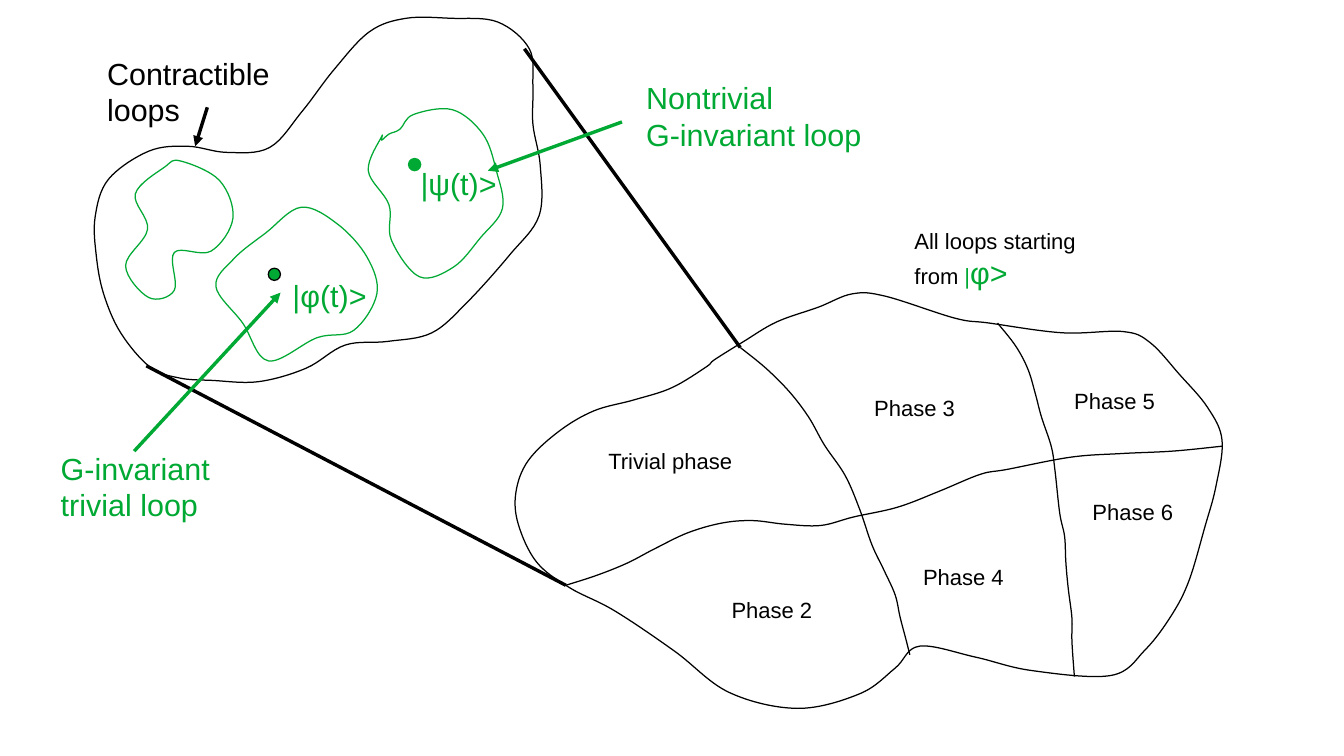
"""Draw the slide on contractible loops and the phases they belong to."""
from lxml import etree
from pptx import Presentation
from pptx import util as u
from pptx.dml.color import RGBColor
from pptx.enum import shapes, text
from pptx.oxml.ns import qn

BLACK, GREEN = "000000", "00A933"


def color(hex_code):
    return RGBColor.from_string(hex_code)


def round_off(curve, knots, closed):
    """Turn the straight segments between the knots into smooth Bezier curves."""
    ends = [knots[-1], *knots, *knots[:2]] if closed else [knots[0], *knots, knots[-1]]
    segments = list(curve._element.iter(qn("a:lnTo")))
    for segment, a, b, c, d in zip(segments, ends, ends[1:], ends[2:], ends[3:]):
        segment.tag = qn("a:cubicBezTo")
        handles = [[q + (r - p) / 6 for p, q, r in zip(a, b, c)],
                   [r - (s - q) / 6 for q, r, s in zip(b, c, d)]]
        for i, (x, y) in enumerate(handles):
            segment.insert(i, etree.Element(
                qn("a:pt"), x=str(u.Inches(x) - curve.left), y=str(u.Inches(y) - curve.top)))


prs = Presentation()
prs.slide_width, prs.slide_height = u.Inches(11.02), u.Inches(6.2)
slide = prs.slides.add_slide(prs.slide_layouts[6])

phase_map = [
    (5.79, 3.01), (5.51, 3.18), (5.2, 3.28), (4.87, 3.37), (4.58, 3.54), (4.33, 3.78),
    (4.23, 4.04), (4.25, 4.3), (4.4, 4.61), (4.67, 4.82), (5.04, 5.01), (5.53, 5.34),
    (5.98, 5.68), (6.54, 5.81), (7.05, 5.69), (7.34, 5.48), (7.54, 5.3), (8, 5.39),
    (8.46, 5.5), (9.11, 5.54), (9.39, 5.33), (9.61, 5.04), (9.75, 4.76), (9.88, 4.32),
    (9.97, 3.99), (10.02, 3.61), (9.9, 3.34), (9.67, 3.07), (9.43, 2.81), (9.21, 2.72),
    (8.71, 2.73), (8.11, 2.65), (7.83, 2.61), (7.26, 2.43), (6.99, 2.41), (6.71, 2.52),
    (6.37, 2.64), (6.1, 2.8), (5.86, 2.95)]
left_border = [
    (6.07, 2.85), (6.28, 3.02), (6.47, 3.21), (6.63, 3.42), (6.76, 3.65), (6.93, 3.9),
    (7.05, 4.18), (7.15, 4.47), (7.25, 4.68), (7.34, 4.88), (7.38, 5.06), (7.43, 5.25),
    (7.46, 5.37)]
middle_border = [
    (4.64, 4.8), (4.89, 4.72), (5.14, 4.62), (5.37, 4.5), (5.64, 4.37), (5.92, 4.29),
    (6.17, 4.27), (6.44, 4.3), (6.73, 4.31), (7, 4.24), (7.36, 4.16), (7.7, 4.03),
    (8.04, 3.89), (8.26, 3.85), (8.78, 3.75), (9.2, 3.72), (9.62, 3.7), (10.02, 3.66)]
right_border = [
    (8.18, 2.65), (8.33, 2.84), (8.43, 3.03), (8.49, 3.23), (8.54, 3.42), (8.62, 3.66),
    (8.65, 3.85), (8.69, 4.21), (8.73, 4.4), (8.74, 4.61), (8.76, 4.83), (8.79, 5.07),
    (8.79, 5.26), (8.81, 5.55)]
loop_space = [
    (1.23, 3.01), (0.99, 2.73), (0.85, 2.41), (0.79, 2.1), (0.78, 1.78), (0.89, 1.47),
    (1.22, 1.24), (1.54, 1.2), (1.86, 1.25), (2.21, 1.21), (2.48, 0.91), (2.74, 0.57),
    (3.03, 0.26), (3.33, 0.15), (3.7, 0.15), (4.08, 0.18), (4.34, 0.4), (4.37, 0.71),
    (4.37, 1.02), (4.43, 1.36), (4.42, 1.77), (4.18, 2.09), (3.83, 2.48), (3.54, 2.73),
    (3.18, 2.8), (2.83, 2.83), (2.51, 3.02), (2.12, 3.13), (1.74, 3.12), (1.47, 3.1)]
trivial_loop = [
    (2.18, 1.91), (1.92, 2.12), (1.77, 2.35), (1.99, 2.65), (2.2, 2.96), (2.6, 2.77),
    (2.9, 2.71), (3.09, 2.41), (3.01, 2.11), (2.77, 1.84), (2.47, 1.7)]
nontrivial_loop = [
    (3.13, 1.12), (3.02, 1.4), (3.19, 1.68), (3.21, 1.97), (3.44, 2.27), (3.72, 2.19),
    (3.94, 1.95), (4.12, 1.71), (4.07, 1.4), (3.96, 1.1), (3.71, 0.9), (3.39, 0.94),
    (3.28, 1.06), (3.19, 1.1), (3.13, 1.15)]
plain_loop = [
    (1.35, 1.37), (1.11, 1.59), (1.21, 1.88), (1.03, 2.18), (1.22, 2.44), (1.43, 2.38),
    (1.43, 2.07), (1.73, 2.06), (1.91, 1.79), (1.8, 1.48), (1.48, 1.32)]

for knots, closed, ink in [
        (phase_map, True, BLACK), (left_border, False, BLACK),
        (middle_border, False, BLACK), (right_border, False, BLACK),
        (loop_space, True, BLACK), (trivial_loop, True, GREEN),
        (nontrivial_loop, True, GREEN), (plain_loop, True, GREEN)]:
    start, *rest = [(u.Inches(x), u.Inches(y)) for x, y in knots]
    pen = slide.shapes.build_freeform(*start, scale=1.0)
    pen.add_line_segments(rest + [start] if closed else rest, close=closed)
    curve = pen.convert_to_shape()
    round_off(curve, knots, closed)
    curve.shadow.inherit = False
    curve.fill.background()
    curve.line.color.rgb = color(ink)
    curve.line.width = u.Pt(0)

for x1, y1, x2, y2, ink, arrow in [
        (4.64, 4.8, 1.2, 3, BLACK, False), (6.07, 2.85, 4.3, 0.4, BLACK, False),
        (1.7, 0.88, 1.6, 1.2, BLACK, True), (5.1, 1, 4, 1.4, GREEN, True),
        (1.1, 3.7, 2.3, 2.4, GREEN, True)]:
    pointer = slide.shapes.add_connector(
        shapes.MSO_CONNECTOR.STRAIGHT, *map(u.Inches, (x1, y1, x2, y2)))
    pointer.line.color.rgb = color(ink)
    pointer.line.width = u.Pt(0)
    if arrow:
        etree.SubElement(pointer.line._get_or_add_ln(), qn("a:tailEnd"), type="triangle")
    etree.SubElement(pointer._element.spPr, qn("a:effectLst"))

for x, y, outline in [(2.2, 2.2, BLACK), (3.35, 1.3, GREEN)]:
    state = slide.shapes.add_shape(
        shapes.MSO_SHAPE.OVAL, *map(u.Inches, (x, y, 0.1, 0.1)))
    state.shadow.inherit = False
    state.fill.solid()
    state.fill.fore_color.rgb = color(GREEN)
    state.line.color.rgb = color(outline)
    state.line.width = u.Pt(0)

phases = [("Phase 2", 5.9, 4.84), ("Phase 3", 7.07, 3.19), ("Phase 4", 7.47, 4.57),
          ("Phase 5", 8.71, 3.13), ("Phase 6", 8.86, 4.04)]
labels = [([[(name, 13, BLACK)]], x, y, 0.87, 0.3) for name, x, y in phases] + [
    ([[("Trivial phase", 13, BLACK)]], 4.89, 3.62, 1.33, 0.4),
    ([[("All loops starting from ", 13, BLACK), ("|", 13, GREEN), ("φ>", 18, GREEN)]],
     7.4, 1.82, 1.6, 0.78),
    ([[("Contractible loops", 18, BLACK)]], 0.78, 0.4, 1.8, 0.94),
    ([[("|φ(t)>", 18, GREEN)]], 2.3, 2.22, 0.9, 0.66),
    ([[("|ψ(t)>", 18, GREEN)]], 3.35, 1.3, 1.1, 0.48),
    ([[("Nontrivial", 18, GREEN)], [("G-invariant loop", 18, GREEN)]], 5.2, 0.6, 2.1, 0.7),
    ([[("G-invariant", 18, GREEN)], [("trivial loop", 18, GREEN)]], 0.4, 3.64, 2.1, 0.66)]

for lines, *place in labels:
    frame = slide.shapes.add_textbox(*map(u.Inches, place)).text_frame
    frame.word_wrap = True
    frame.auto_size = text.MSO_AUTO_SIZE.SHAPE_TO_FIT_TEXT
    for i, pieces in enumerate(lines):
        paragraph = frame.add_paragraph() if i else frame.paragraphs[0]
        paragraph.font.name = "Arial"
        if len(pieces) == 1:
            paragraph.font.size = u.Pt(pieces[0][1])
            paragraph.font.color.rgb = color(pieces[0][2])
        for words, size, ink in pieces:
            run = paragraph.add_run()
            run.text = words
            if len(pieces) > 1:
                run.font.size = u.Pt(size)
                run.font.color.rgb = color(ink)

prs.save("out.pptx")
